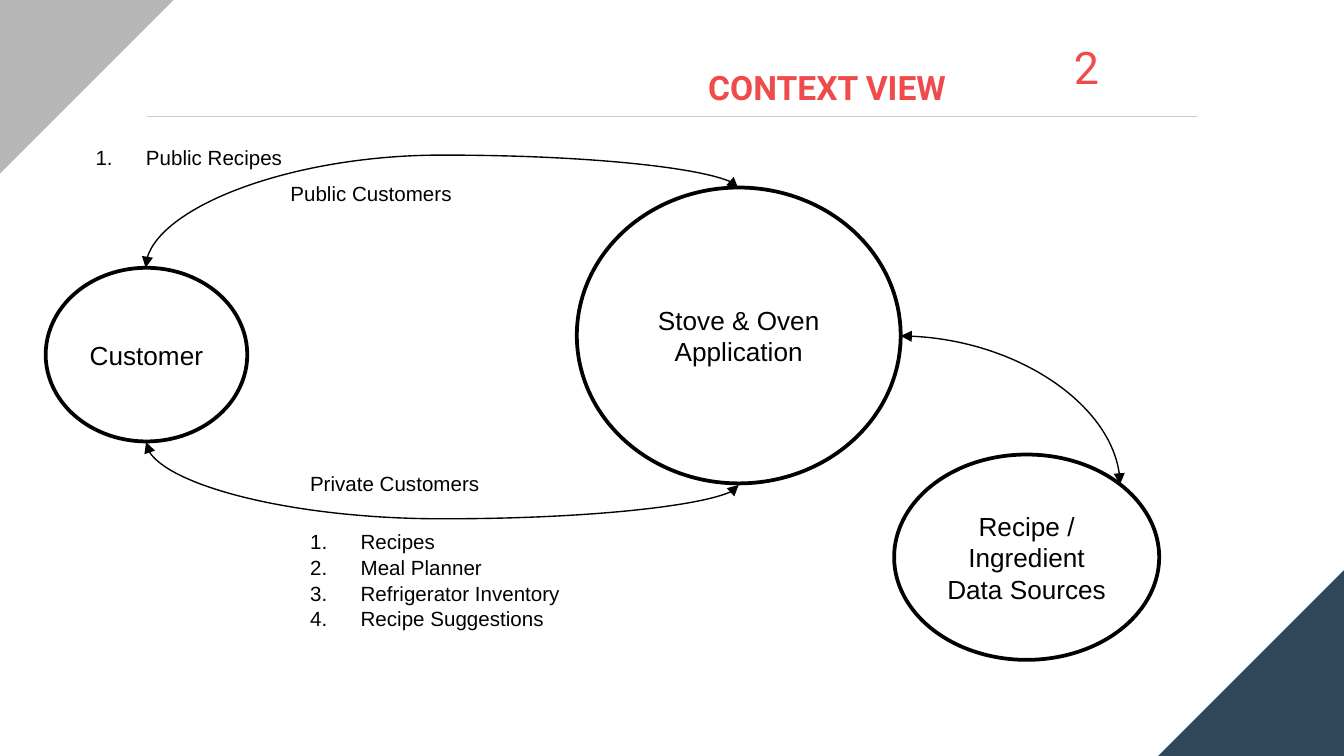
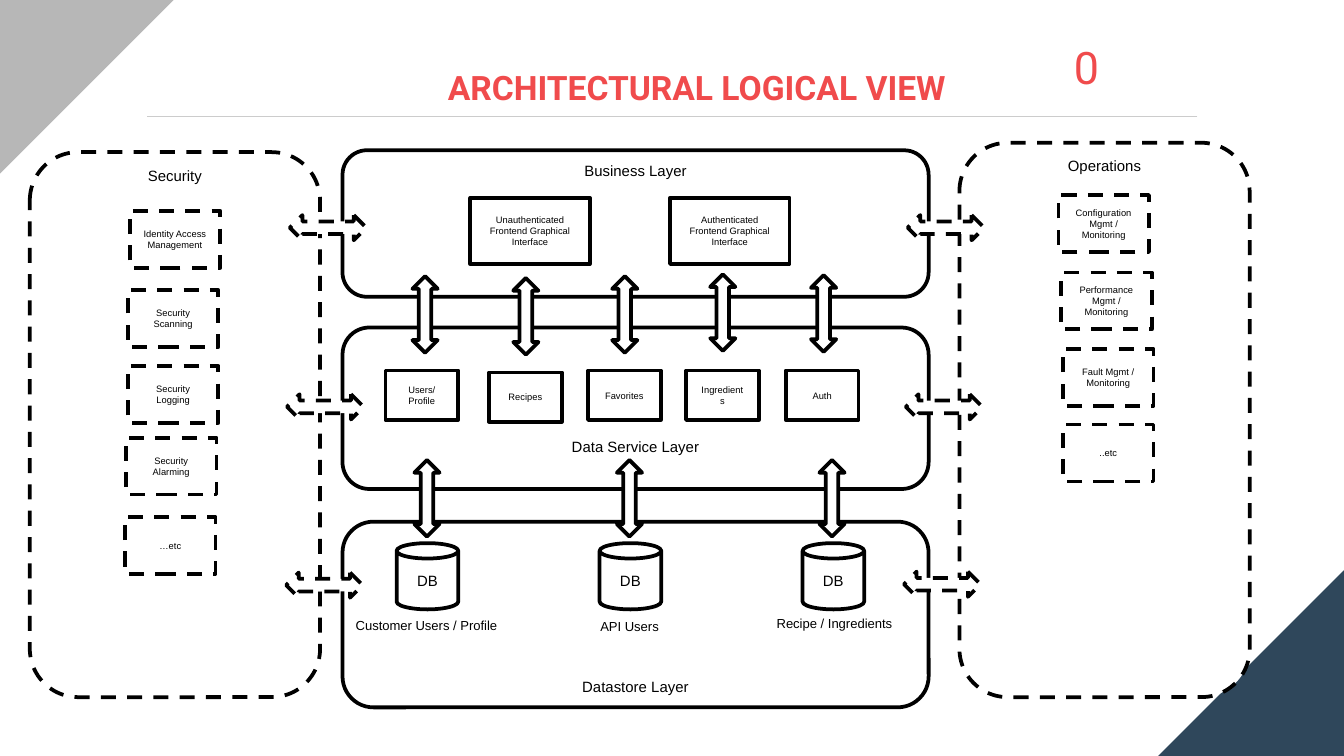
"""Build the context view and architectural logical view slides."""
from lxml.etree import SubElement
from pptx import Presentation
from pptx.dml.color import RGBColor
from pptx.enum.dml import MSO_LINE_DASH_STYLE as Dash
from pptx.enum.shapes import MSO_CONNECTOR as Connector, MSO_SHAPE as Shape
from pptx.enum.text import MSO_ANCHOR as Anchor, MSO_AUTO_SIZE as AutoSize, PP_ALIGN as Align
from pptx.oxml.ns import qn
from pptx.util import Pt

COLORS = {"title": "F04B4C", "rule": "CCCCCC", "navy": "2F475B",
          "gray": "B7B7B7", "ink": "000000", "paper": "FFFFFF"}
TITLE_FONT, BODY_FONT = "Roboto", "Arial"
TWO_CONTENT, TITLE_ONLY = 3, 5

CORNERS = [("navy", 620.5, 305.5, 99.5, 270), ("gray", 0, 0, 93, 90)]

CONTEXT_NODES = {
    "application": ("Stove & Oven Application", (309, 100.5, 173.5, 158.5)),
    "customer": ("Customer", (24.5, 143.5, 108, 93)),
    "sources": ("Recipe / Ingredient Data Sources", (479, 243.5, 142, 110)),
}
CONTEXT_LINKS = [
    {"ends": (("customer", 0), ("application", 0)), "box": (215.5, -36.5, 42.5, 317.5),
     "turn": 90, "flips": ("flipH", "flipV"), "preset": "curvedConnector3", "bend": 142100},
    {"ends": (("application", 6), ("sources", 7)), "box": (482.5, 180, 117.5, 79.5),
     "turn": 0, "flips": (), "preset": "curvedConnector2", "bend": None},
    {"ends": (("customer", 4), ("application", 4)), "box": (225.5, 89.5, 23, 317.5),
     "turn": 270, "flips": ("flipH",), "preset": "curvedConnector3", "bend": 179200},
]
CONTEXT_LISTS = [
    (["Public Recipes"], (44, 73.5, 115, 34)),
    (["Recipes", "Meal Planner", "Refrigerator Inventory", "Recipe Suggestions"],
     (159, 279.5, 149, 74)),
]
CONTEXT_LABELS = [("Public Customers", (148.5, 93.5, 101.5, 21)),
                  ("Private Customers", (159, 249, 106, 21))]

LAYERS = [("Business Layer", 80.5, 78.5, 2.5), ("Data Service Layer", 175.5, 86.5, 54.5),
          ("Datastore Layer", 279.5, 99.5, 78.5)]
SIDES = [("Security", (16, 81.5, 155.5, 292)), ("Operations", (514, 76.5, 155.5, 297))]
FRONTENDS = [("Unauthenticated Frontend Graphical Interface", 252, 106),
             ("Authenticated Frontend Graphical Interface", 359, 106)]
SERVICES = [("Users/ Profile", 206.5, 198.5), ("Recipes", 262, 199.5),
            ("Favorites", 315, 198.5), ("Ingredients", 367.5, 198.5), ("Auth", 421, 198.5)]
SIDE_BOXES = [
    ("Identity Access Management", 69.5, 113), ("Security Scanning", 68.5, 155.5),
    ("Security Logging", 68.5, 196), ("Security Alarming", 67.5, 234.5), ("…etc", 67, 277),
    ("Configuration Mgmt / Monitoring", 567, 104.5),
    ("Performance\nMgmt / Monitoring", 568.5, 146),
    ("Fault Mgmt / Monitoring", 569.5, 187), ("..etc", 569.5, 227.5),
]
BOX_GROUPS = [(FRONTENDS, (64, 35.5), False), (SERVICES, (39, 26.5), False),
              (SIDE_BOXES, (48.5, 30.5), True)]
STORES = [("Customer Users / Profile", (183.5, 327, 91.5, 16)),
          ("API Users", (314.5, 328, 46, 16)),
          ("Recipe / Ingredients", (409, 326, 77, 16))]
STORE_LEFT, STORE_STEP = 212.5, 108.75
LAYER_ARROWS = [(221, 148), (275, 149), (328, 148), (380.5, 147), (434.5, 147.5),
                (222, 246.5), (330.5, 246.5), (439, 246.5)]
SIDE_ARROWS = [(169, 101.5), (167.5, 197.5), (167, 293),
               (500, 101.5), (499, 197.5), (498, 292.5)]
ARROW_SIZE = (13.5, 41)


def color(name):
    return RGBColor.from_string(COLORS[name])


def assign(target, **values):
    for name, value in values.items():
        setattr(target, name, value)


def place(target, box):
    assign(target, **dict(zip(("left", "top", "width", "height"), map(Pt, box))))


def write(shape, text, size, font=BODY_FONT, ink="ink", bold=False, align=Align.CENTER,
          **frame_format):
    frame = shape.text_frame
    frame.text = text
    assign(frame, **{"word_wrap": True, "auto_size": AutoSize.NONE,
                     "vertical_anchor": Anchor.MIDDLE, **frame_format})
    for paragraph in frame.paragraphs:
        assign(paragraph, alignment=align, space_before=Pt(0), space_after=Pt(0))
        for run in paragraph.runs:
            assign(run.font, name=font, size=Pt(size), bold=bold)
            run.font.color.rgb = color(ink)


def add_label(slide, text, box, size, **text_format):
    label = slide.shapes.add_textbox(*map(Pt, box))
    write(label, text, size, **{"align": Align.LEFT, "word_wrap": False,
                                "vertical_anchor": Anchor.TOP, **text_format})


def add_figure(slide, kind, box, fill="paper", outlined=True, dashed=False, turn=0):
    figure = slide.shapes.add_shape(kind, *map(Pt, box))
    assign(figure, rotation=turn)
    figure.shadow.inherit = False
    figure.fill.solid()
    figure.fill.fore_color.rgb = color(fill)
    if outlined:
        figure.line.color.rgb = color("ink")
        figure.line.width = Pt(2)
        if dashed:
            figure.line.dash_style = Dash.DASH
    else:
        figure.line.fill.background()
    return figure


def add_line(slide, kind, points, ink):
    line = slide.shapes.add_connector(kind, *map(Pt, points))
    line.line.color.rgb = color(ink)
    line.line.width = Pt(0.75)
    SubElement(line._element.spPr, qn("a:effectLst"))
    return line


def add_slide(presentation, layout, title, title_left, number):
    slide = presentation.slides.add_slide(presentation.slide_layouts[layout])
    place(slide.shapes.title, (title_left, 35.5, 514 - title_left, 22))
    write(slide.shapes.title, title, 18, TITLE_FONT, "title", True, Align.RIGHT,
          margin_top=0, margin_bottom=0)
    add_line(slide, Connector.STRAIGHT, (641.5, 62.5, 78.5, 62.5), "rule")
    for fill, left, top, side, turn in CORNERS:
        add_figure(slide, Shape.RIGHT_TRIANGLE, (left, top, side, side), fill,
                   outlined=False, turn=turn)
    add_label(slide, number, (562.5, 17.5, 39, 40), 24, font=TITLE_FONT, ink="title",
              align=Align.CENTER, vertical_anchor=Anchor.BOTTOM, word_wrap=True,
              margin_top=Pt(7.2), margin_bottom=Pt(7.2))
    return slide


def fill_list(placeholder, items, box):
    place(placeholder, box)
    write(placeholder, "\n".join(items), 11, align=Align.LEFT, vertical_anchor=Anchor.TOP)
    for paragraph in placeholder.text_frame.paragraphs:
        paragraph.line_spacing = 1.04
        properties = paragraph._p.get_or_add_pPr()
        properties.set("marL", str(Pt(27)))
        properties.set("indent", str(Pt(-27)))
        SubElement(properties, qn("a:buFont"), typeface=BODY_FONT)
        SubElement(properties, qn("a:buAutoNum"), type="arabicPeriod")


def add_link(slide, nodes, link):
    connector = add_line(slide, Connector.CURVE, (0, 0, 1, 1), "ink")
    place(connector, link["box"])
    properties = connector._element.spPr
    transform = properties.find(qn("a:xfrm"))
    transform.set("rot", str(link["turn"] * 60000))
    for flip in link["flips"]:
        transform.set(flip, "1")
    geometry = properties.find(qn("a:prstGeom"))
    geometry.set("prst", link["preset"])
    if link["bend"]:
        SubElement(geometry.find(qn("a:avLst")), qn("a:gd"),
                   name="adj1", fmla=f"val {link['bend']}")
    outline = properties.find(qn("a:ln"))
    joints = connector._element.nvCxnSpPr.cNvCxnSpPr
    tags = (("a:stCxn", "a:headEnd"), ("a:endCxn", "a:tailEnd"))
    for (node, site), (joint, arrowhead) in zip(link["ends"], tags):
        SubElement(joints, qn(joint), id=str(nodes[node].shape_id), idx=str(site))
        SubElement(outline, qn(arrowhead), type="triangle")


def build_context_view(presentation):
    slide = add_slide(presentation, TWO_CONTENT, "CONTEXT VIEW", 150.5, "2")
    nodes = {}
    for name, (text, box) in CONTEXT_NODES.items():
        nodes[name] = add_figure(slide, Shape.OVAL, box)
        write(nodes[name], text, 14)
    for link in CONTEXT_LINKS:
        add_link(slide, nodes, link)
    for index, (items, box) in enumerate(CONTEXT_LISTS, 1):
        fill_list(slide.placeholders[index], items, box)
    for text, box in CONTEXT_LABELS:
        add_label(slide, text, box, 11)


def build_logical_view(presentation):
    slide = add_slide(presentation, TITLE_ONLY, "ARCHITECTURAL LOGICAL VIEW", 106.5, "0")
    panels = [(text, (183.5, top, 314, height), inset, False)
              for text, top, height, inset in LAYERS]
    panels += [(text, box, 0, True) for text, box in SIDES]
    for text, box, inset, dashed in panels:
        panel = add_figure(slide, Shape.ROUNDED_RECTANGLE, box, dashed=dashed)
        write(panel, text, 8, vertical_anchor=Anchor.TOP, margin_top=Pt(inset))
    for boxes, size, dashed in BOX_GROUPS:
        for text, left, top in boxes:
            box = add_figure(slide, Shape.RECTANGLE, (left, top, *size), dashed=dashed)
            write(box, text, 5)
    for index, (caption, caption_box) in enumerate(STORES):
        store_box = (STORE_LEFT + index * STORE_STEP, 291, 33, 35.5)
        write(add_figure(slide, Shape.CAN, store_box), "DB", 8)
        add_label(slide, caption, caption_box, 7)
    for arrows, turn in ((LAYER_ARROWS, 0), (SIDE_ARROWS, 90)):
        for position in arrows:
            add_figure(slide, Shape.UP_DOWN_ARROW, (*position, *ARROW_SIZE),
                       dashed=bool(turn), turn=turn)


def main():
    presentation = Presentation()
    assign(presentation, slide_width=Pt(720), slide_height=Pt(405))
    build_context_view(presentation)
    build_logical_view(presentation)
    presentation.save("out.pptx")


if __name__ == "__main__":
    main()
